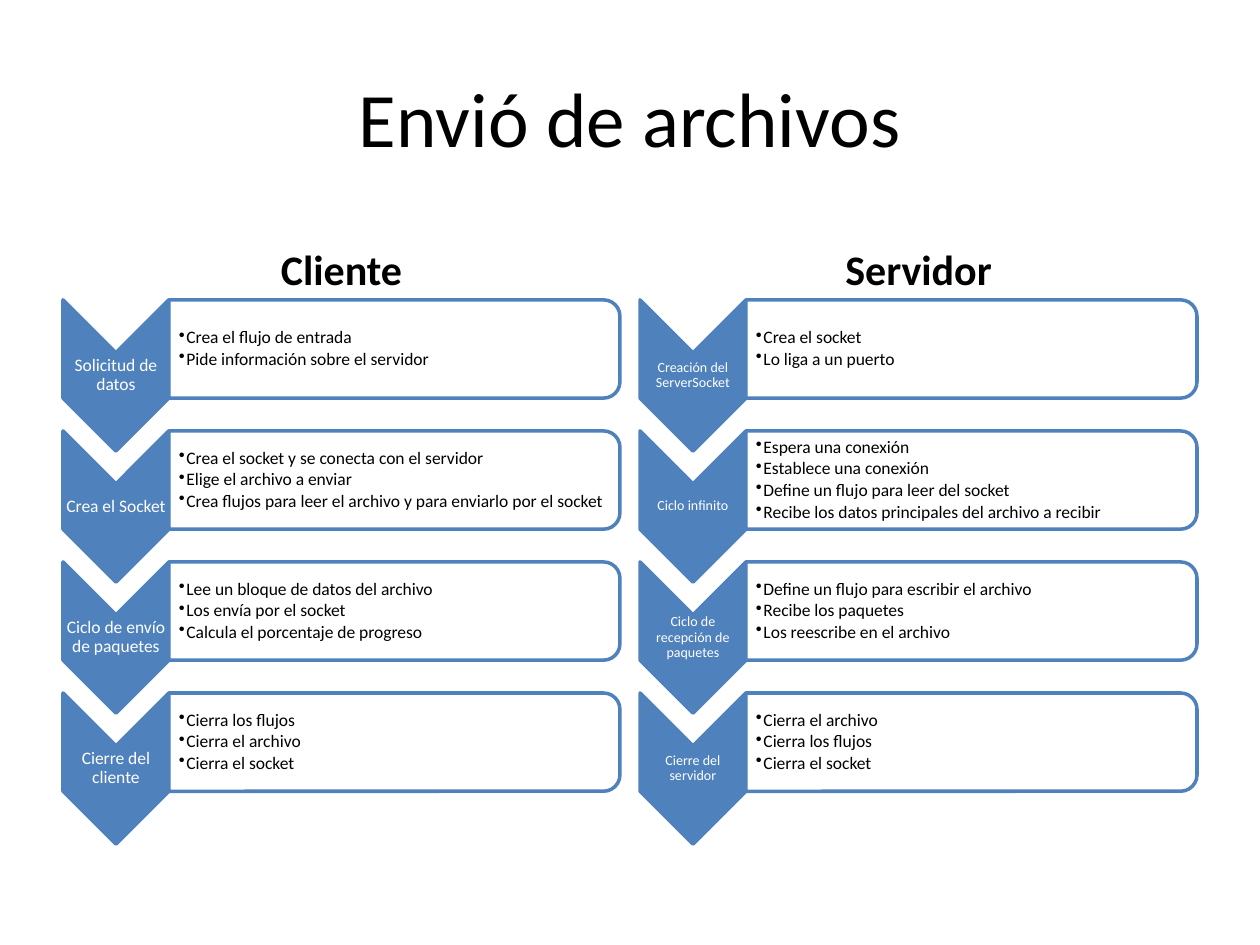
import pptx
import pptx.util
import pptx.dml.color
import pptx.enum.shapes
import pptx.enum.text
import pptx.oxml.ns
import lxml.etree

Inches = pptx.util.Inches
Pt = pptx.util.Pt
SHAPE = pptx.enum.shapes.MSO_SHAPE
ANCHOR = pptx.enum.text.MSO_ANCHOR
CENTER = pptx.enum.text.PP_ALIGN.CENTER
qn = pptx.oxml.ns.qn

BLUE = pptx.dml.color.RGBColor(0x4F, 0x81, 0xBD)
WHITE = pptx.dml.color.RGBColor(0xFF, 0xFF, 0xFF)
BLACK = pptx.dml.color.RGBColor(0x00, 0x00, 0x00)

LEFT, TOP = 0.5, 2.38
COL_STEP, ROW_STEP = 4.58, 1.04
COL_W, STEP_W, STEP_H, PANEL_H = 4.42, 0.84, 1.2, 0.78
PANEL_W = COL_W - STEP_W

columns = [
    ("Cliente", 10, [
        ("Solicitud de datos", ["Crea el flujo de entrada", "Pide información sobre el servidor"]),
        ("Crea el Socket", ["Crea el socket y se conecta con el servidor", "Elige el archivo a enviar",
                            "Crea flujos para leer el archivo y para enviarlo por el socket"]),
        ("Ciclo de envío de paquetes", ["Lee un bloque de datos del archivo", "Los envía por el socket",
                                        "Calcula el porcentaje de progreso"]),
        ("Cierre del cliente", ["Cierra los flujos", "Cierra el archivo", "Cierra el socket"]),
    ]),
    ("Servidor", 8, [
        ("Creación del ServerSocket", ["Crea el socket", "Lo liga a un puerto"]),
        ("Ciclo infinito", ["Espera una conexión", "Establece una conexión",
                            "Define un flujo para leer del socket",
                            "Recibe los datos principales del archivo a recibir"]),
        ("Ciclo de recepción de paquetes", ["Define un flujo para escribir el archivo", "Recibe los paquetes",
                                            "Los reescribe en el archivo"]),
        ("Cierre del servidor", ["Cierra el archivo", "Cierra los flujos", "Cierra el socket"]),
    ]),
]


def add_text(shapes, x, y, w, h, lines, size, color, anchor=ANCHOR.MIDDLE, inset=None):
    sp = shapes.add_textbox(Inches(x), Inches(y), Inches(w), Inches(h))
    tf = sp.text_frame
    tf.word_wrap = True
    tf.vertical_anchor = anchor
    if inset is not None:
        tf.margin_left = Inches(inset)
        tf.margin_top = tf.margin_right = tf.margin_bottom = Inches(0.01)
    for n, line in enumerate(lines):
        p = tf.add_paragraph() if n else tf.paragraphs[0]
        p.alignment = CENTER
        r = p.add_run()
        r.text = line
        r.font.name = "Calibri"
        r.font.size = Pt(size)
        r.font.color.rgb = color
    return tf


def add_rotated(shapes, kind, x, y, w, h, fill):
    sp = shapes.add_shape(kind, Inches(x + (w - h) / 2), Inches(y + (h - w) / 2), Inches(h), Inches(w))
    sp.rotation = 90
    sp.shadow.inherit = False
    sp.fill.solid()
    sp.fill.fore_color.rgb = fill
    sp.line.color.rgb = BLUE
    sp.line.width = Pt(2)
    return sp


prs = pptx.Presentation()
prs.slide_width = Inches(10)
prs.slide_height = Inches(7.5)
s = prs.slides.add_slide(prs.slide_layouts[6])

add_text(s.shapes, LEFT, 0.3, 9, 1.25, ["Envió de archivos"], 44, BLACK)

for i, (heading, label_size, steps) in enumerate(columns):
    x = LEFT + i * COL_STEP
    tf = add_text(s.shapes, x, TOP - 0.7, COL_W, 0.7, [heading], 24, BLACK, ANCHOR.BOTTOM)
    tf.paragraphs[0].space_before = Pt(4.8)
    tf.paragraphs[0].runs[0].font.bold = True

    grp = s.shapes.add_group_shape().shapes
    for j, (label, items) in enumerate(steps):
        y = TOP + j * ROW_STEP
        add_rotated(grp, SHAPE.CHEVRON, x, y, STEP_W, STEP_H, BLUE)
        tf = add_text(grp, x, y + STEP_W / 2, STEP_W, STEP_H - STEP_W, [label], label_size, WHITE, inset=0.01)
        tf.paragraphs[0].line_spacing = 0.9
        tf.paragraphs[0].space_after = Pt(label_size * 0.35)

        panel = add_rotated(grp, SHAPE.ROUND_2_SAME_RECTANGLE, x + STEP_W, y, PANEL_W, PANEL_H, WHITE)
        clr = panel.fill._xPr.find(qn("a:solidFill"))[0]
        lxml.etree.SubElement(clr, qn("a:alpha")).set("val", "90000")
        tf = add_text(grp, x + STEP_W, y + 0.04, PANEL_W - 0.04, 0.7, items, 10, BLACK, inset=0.08)
        for p in tf.paragraphs:
            p.alignment = pptx.enum.text.PP_ALIGN.LEFT
            p.level = 1
            p.line_spacing = 0.9
            p.space_after = Pt(1.5)
            pPr = p._p.get_or_add_pPr()
            pPr.set("marL", str(Inches(0.06)))
            pPr.set("indent", str(-Inches(0.06)))
            lxml.etree.SubElement(pPr, qn("a:buChar")).set("char", "•")

prs.save("out.pptx")
